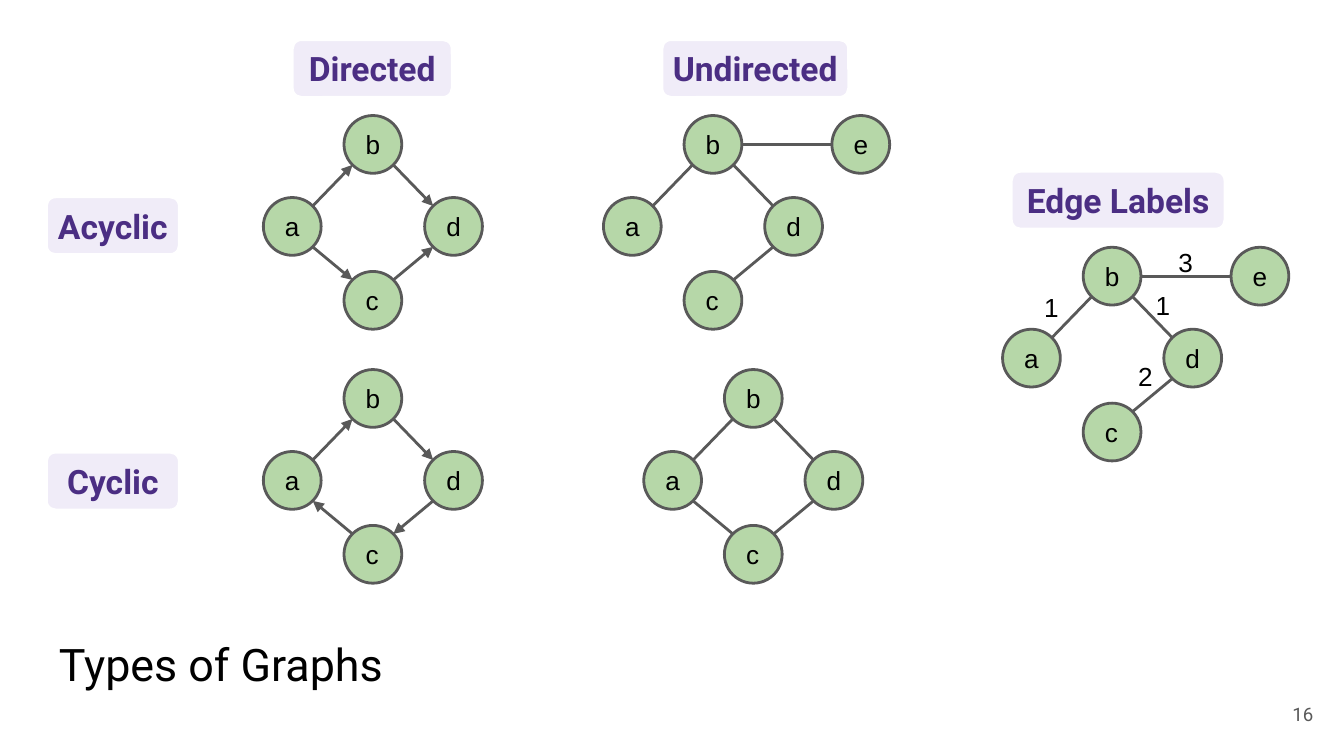
from math import sqrt
from lxml import etree
from pptx import Presentation, util as u
from pptx.dml.color import RGBColor
from pptx.enum import shapes, text
from pptx.oxml.ns import qn

GREY, GREEN, PURPLE, LILAC = "595959", "B6D7A8", "4B2E83", "F0ECF8"
SIZE = 0.43


def color(value):
    return RGBColor.from_string(value)


def write(shape, words, size, font, ink, inset=0.1, align=text.PP_ALIGN.LEFT,
          anchor=text.MSO_ANCHOR.MIDDLE, bold=False):
    frame = shape.text_frame
    frame.text = words
    frame.word_wrap = True
    frame.vertical_anchor = anchor
    frame.margin_left = frame.margin_right = u.Inches(inset)
    frame.margin_top = frame.margin_bottom = u.Inches(inset)
    para = frame.paragraphs[0]
    para.alignment = align
    span = para.runs[0]
    span.font.size = u.Pt(size)
    span.font.name = font
    span.font.bold = bold
    span.font.color.rgb = color(ink)


deck = Presentation()
deck.slide_width = u.Inches(10)
deck.slide_height = u.Inches(10 * 9 / 16)
page = deck.slides.add_slide(deck.slide_layouts[6])

offsets = {"a": (0, 0), "b": (0.6, -0.61), "c": (0.6, 0.55), "d": (1.2, 0), "e": (1.7, -0.61)}
graphs = [
    (1.96, 1.47, "abdc", "ab ac bd cd", True),
    (4.49, 1.47, "abdce", "ab bd cd be", False),
    (1.96, 3.36, "abdc", "ab bd dc ca", True),
    (4.79, 3.36, "abdc", "ab bd dc ca", False),
    (7.46, 2.45, "abdce", "ab bd cd be", False),
]
for left, top, nodes, edges, directed in graphs:
    for name in nodes:
        x, y = offsets[name]
        node = page.shapes.add_shape(shapes.MSO_SHAPE.OVAL, u.Inches(left + x),
                                     u.Inches(top + y), u.Inches(SIZE), u.Inches(SIZE))
        node.shadow.inherit = False
        node.fill.solid()
        node.fill.fore_color.rgb = color(GREEN)
        node.line.color.rgb = color(GREY)
        node.line.width = u.Pt(1.5)
        write(node, name, 14, "Arial", "000000")

    for start, end in edges.split():
        (x1, y1), (x2, y2) = offsets[start], offsets[end]
        across = 1 if x2 > x1 else -1
        down = (y2 > y1) - (y2 < y1)
        reach = SIZE / 2 / sqrt(1 + abs(down))
        center_x, center_y = left + SIZE / 2, top + SIZE / 2
        edge = page.shapes.add_connector(
            shapes.MSO_CONNECTOR.STRAIGHT,
            u.Inches(center_x + x1 + across * reach), u.Inches(center_y + y1 + down * reach),
            u.Inches(center_x + x2 - across * reach), u.Inches(center_y + y2 - down * reach))
        edge.line.color.rgb = color(GREY)
        edge.line.width = u.Pt(1.5)
        if directed:
            etree.SubElement(edge.line._get_or_add_ln(), qn("a:tailEnd"), type="triangle")
        etree.SubElement(edge._element.spPr, qn("a:effectLst"))

for words, left, top in [("1", 7.67, 2.07), ("2", 8.37, 2.58), ("3", 8.67, 1.73), ("1", 8.5, 2.05)]:
    weight = page.shapes.add_textbox(u.Inches(left), u.Inches(top), u.Inches(0.3), u.Inches(0.25))
    write(weight, words, 14, "Arial", "000000", anchor=text.MSO_ANCHOR.TOP)

headings = [
    ("Acyclic", 0.34, 1.46, 1),
    ("Cyclic", 0.34, 3.36, 1),
    ("Directed", 2.17, 0.29, 1.2),
    ("Undirected", 4.92, 0.29, 1.4),
    ("Edge Labels", 7.52, 1.27, 1.6),
]
for words, left, top, width in headings:
    heading = page.shapes.add_shape(shapes.MSO_SHAPE.ROUNDED_RECTANGLE, u.Inches(left),
                                    u.Inches(top), u.Inches(width), u.Inches(0.44))
    heading.shadow.inherit = False
    heading.fill.solid()
    heading.fill.fore_color.rgb = color(LILAC)
    heading.line.color.rgb = color("FFFFFF")
    heading.line.width = u.Pt(2.25)
    write(heading, words, 18, "Roboto", PURPLE, inset=0, align=text.PP_ALIGN.CENTER, bold=True)

title = page.shapes.add_textbox(u.Inches(0.34), u.Inches(4.64), u.Inches(9.32), u.Inches(0.63))
write(title, "Types of Graphs", 24, "Roboto", "000000", anchor=text.MSO_ANCHOR.TOP)
number = page.shapes.add_textbox(u.Inches(9.27), u.Inches(5.1), u.Inches(0.6), u.Inches(0.43))
write(number, "16", 10, "Roboto", GREY, align=text.PP_ALIGN.RIGHT)

deck.save("out.pptx")
